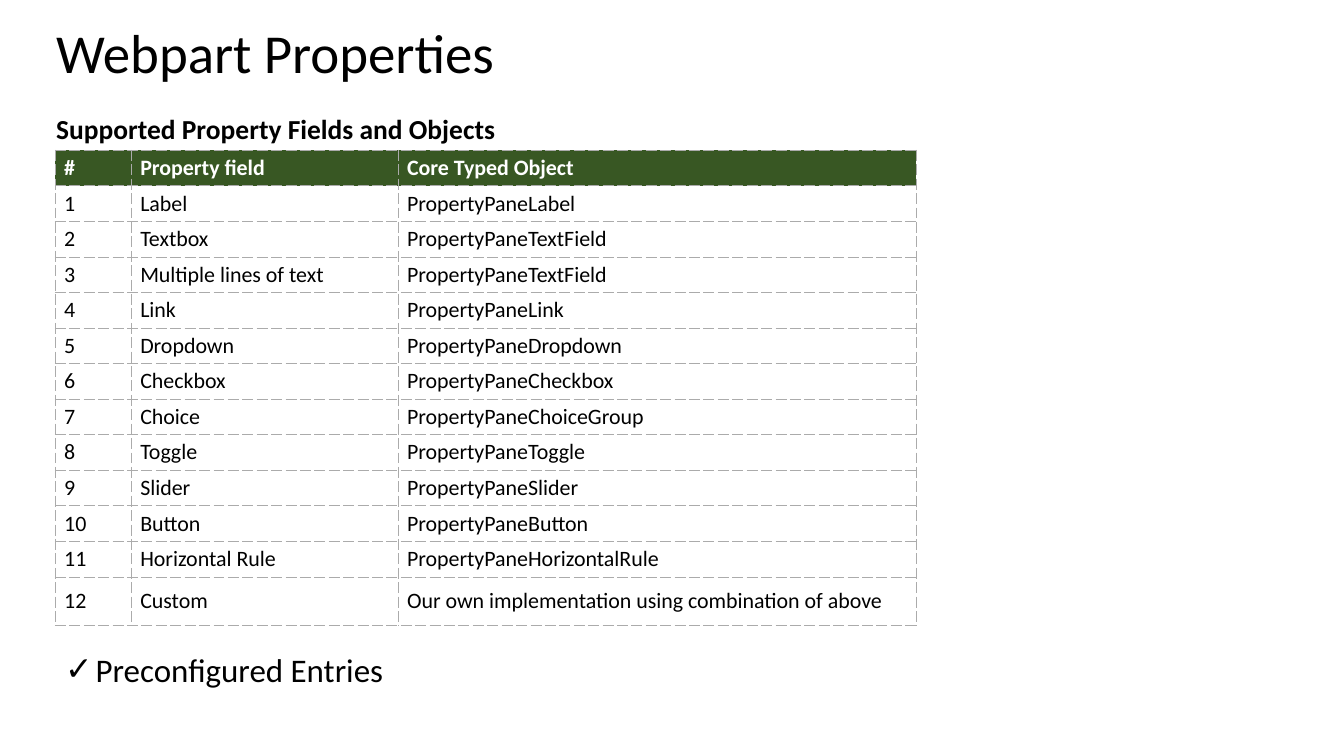
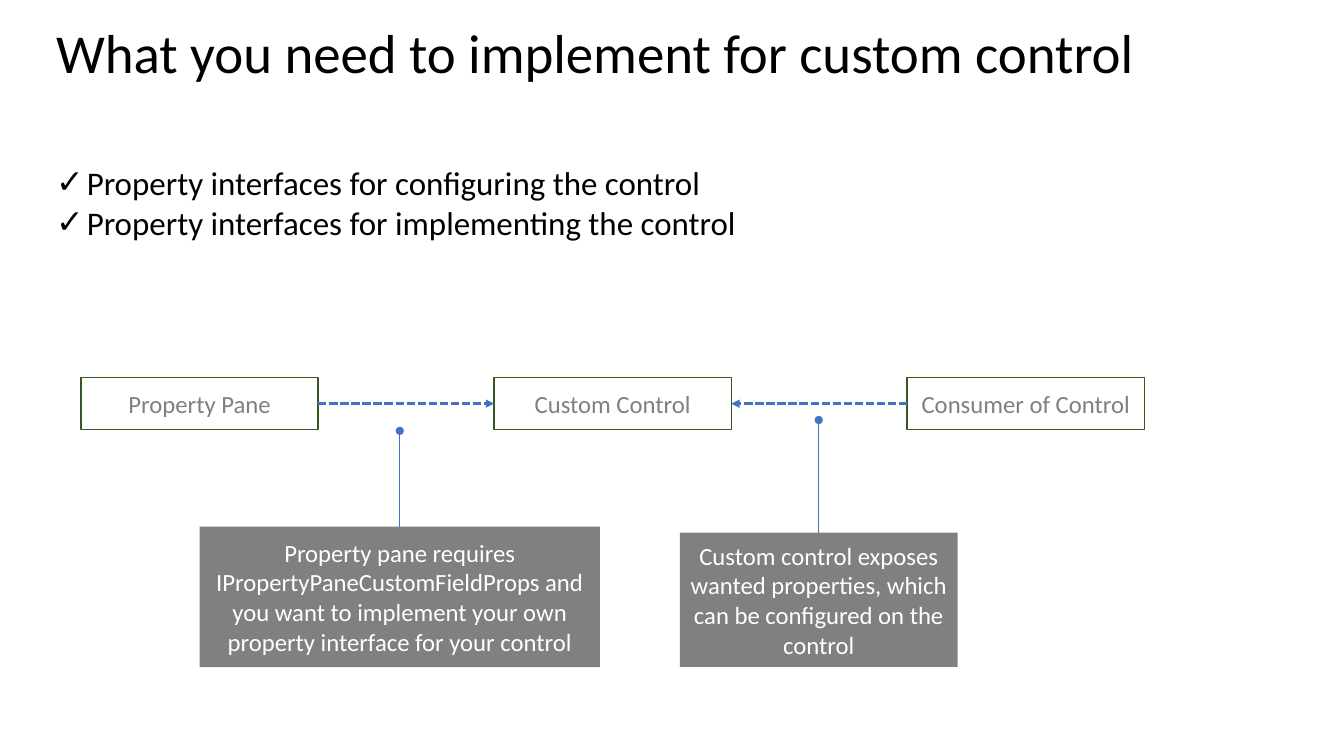
from dataclasses import dataclass

from lxml import etree
from pptx import Presentation
from pptx.dml.color import RGBColor
from pptx.enum.dml import MSO_LINE
from pptx.enum.shapes import MSO_CONNECTOR, MSO_SHAPE
from pptx.enum.text import MSO_ANCHOR, PP_ALIGN
from pptx.oxml.ns import qn
from pptx.util import Pt

LEFT, CENTER, JUSTIFY = PP_ALIGN.LEFT, PP_ALIGN.CENTER, PP_ALIGN.JUSTIFY
MIDDLE, SYS_DASH = MSO_ANCHOR.MIDDLE, MSO_LINE.SQUARE_DOT
RECTANGLE, STRAIGHT = MSO_SHAPE.RECTANGLE, MSO_CONNECTOR.STRAIGHT
TOP_SIDE, LEFT_SIDE, RIGHT_SIDE = 0, 1, 3
EMU_PER_PX = 9144  # 100 px to the inch


@dataclass(frozen=True)
class Theme:
    font: str = "Calibri"
    ink: str = "000000"
    paper: str = "FFFFFF"
    green: str = "385723"
    gray: str = "808080"
    grid: str = "ABABAB"
    blue: str = "4472C4"
    title: int = 40
    bullet: int = 24
    heading: int = 20
    label: int = 18
    cell: int = 16


THEME = Theme()

# Content
SLIDE_SIZE = (1360, 765)
TITLE_BOX = (47, 21, 1266, 61)

FIELDS_TITLE = "Webpart Properties"
FIELDS_HEADING = "Supported Property Fields and Objects"
FIELDS_HEADER = ("#", "Property field", "Core Typed Object")
FIELDS = [
    ("Label", "PropertyPaneLabel"),
    ("Textbox", "PropertyPaneTextField"),
    ("Multiple lines of text", "PropertyPaneTextField"),
    ("Link", "PropertyPaneLink"),
    ("Dropdown", "PropertyPaneDropdown"),
    ("Checkbox", "PropertyPaneCheckbox"),
    ("Choice", "PropertyPaneChoiceGroup"),
    ("Toggle", "PropertyPaneToggle"),
    ("Slider", "PropertyPaneSlider"),
    ("Button", "PropertyPaneButton"),
    ("Horizontal Rule", "PropertyPaneHorizontalRule"),
    ("Custom", "Our own implementation using combination of above"),
]
FIELD_WIDTHS = (77, 270, 524)
ROW_HEIGHT, LAST_ROW_HEIGHT = 36, 49
FIELDS_NOTE = ["Preconfigured Entries"]

CONTROL_TITLE = "What you need to implement for custom control"
CONTROL_POINTS = [
    "Property interfaces for configuring the control",
    "Property interfaces for implementing the control",
]
PARTS = ["Property Pane", "Custom Control", "Consumer of Control"]
PART_LEFT, PART_TOP, PART_WIDTH, PART_HEIGHT, PART_PITCH = 82, 382, 240, 53, 418
# text, box, top of its pin
CALLOUTS = [
    ("Property pane requires IPropertyPaneCustomFieldProps and you want to "
     "implement your own property interface for your control",
     (202, 533, 405, 142), 436),
    ("Custom control exposes wanted properties, which can be configured on "
     "the control", (688, 539, 281, 136), 425),
]


def px(value):
    return round(value * EMU_PER_PX)


def rgb(color):
    return RGBColor.from_string(color)


def style(paragraph, size, color=THEME.ink, bold=False, align=LEFT):
    paragraph.alignment = align
    font = paragraph.font
    font.name, font.size, font.bold = THEME.font, Pt(size), bold
    font.color.rgb = rgb(color)


def add_text(slide, box, lines, size, bold=False, align=LEFT, check=False,
             spacing=None):
    frame = slide.shapes.add_textbox(*map(px, box)).text_frame
    frame.word_wrap = True
    frame.text = "\n".join(lines)
    for paragraph in frame.paragraphs:
        if spacing:
            paragraph.line_spacing = spacing
        if check:
            props = paragraph._p.get_or_add_pPr()
            props.set("marL", str(px(31)))
            props.set("indent", str(px(-31)))
            etree.SubElement(props, qn("a:buFont"), typeface=THEME.font)
            etree.SubElement(props, qn("a:buChar"), char="✓")
        style(paragraph, size, bold=bold, align=align)


def add_box(slide, box, text, color, fill=None, line=None):
    shape = slide.shapes.add_shape(RECTANGLE, *map(px, box))
    shape.shadow.inherit = False
    if fill:
        shape.fill.solid()
        shape.fill.fore_color.rgb = rgb(fill)
    else:
        shape.fill.background()
    if line:
        shape.line.color.rgb = rgb(line)
        shape.line.width = Pt(1)
    else:
        shape.line.fill.background()
    frame = shape.text_frame
    frame.word_wrap, frame.vertical_anchor = True, MIDDLE
    frame.text = text
    style(frame.paragraphs[0], THEME.label, color, align=CENTER)
    return shape


def add_link(slide, width, end, kind, start=(0, 0), dash=None):
    """Connector with one end mark; end is "headEnd" or "tailEnd"."""
    link = slide.shapes.add_connector(STRAIGHT, *start, *start)
    link.line.color.rgb = rgb(THEME.blue)
    link.line.width = Pt(width)
    if dash:
        link.line.dash_style = dash
    etree.SubElement(link.line._get_or_add_ln(), qn("a:" + end), type=kind)
    etree.SubElement(link._element.spPr, qn("a:effectLst"))
    return link


def style_cell(cell, text, color, fill, bold):
    cell.text = text
    cell.vertical_anchor = MIDDLE
    cell.margin_left = cell.margin_right = px(9)
    cell.margin_top = cell.margin_bottom = px(4)
    style(cell.text_frame.paragraphs[0], THEME.cell, color, bold)
    props = cell._tc.get_or_add_tcPr()
    for side in ("lnL", "lnR", "lnT", "lnB"):
        border = etree.SubElement(props, qn("a:" + side), w=str(Pt(0.6)))
        paint = etree.SubElement(border, qn("a:solidFill"))
        etree.SubElement(paint, qn("a:srgbClr"), val=THEME.grid)
        etree.SubElement(border, qn("a:prstDash"), val="dash")
    cell.fill.solid()
    cell.fill.fore_color.rgb = rgb(fill)


def add_fields_table(slide, left, top):
    rows = [FIELDS_HEADER]
    rows += [(str(n), *field) for n, field in enumerate(FIELDS, 1)]
    heights = [ROW_HEIGHT] * len(FIELDS) + [LAST_ROW_HEIGHT]
    box = (left, top, sum(FIELD_WIDTHS), sum(heights))
    table = slide.shapes.add_table(
        len(rows), len(FIELD_WIDTHS), *map(px, box)).table
    table.horz_banding = False
    for column, width in zip(table.columns, FIELD_WIDTHS):
        column.width = px(width)
    for r, (row, height) in enumerate(zip(rows, heights)):
        table.rows[r].height = px(height)
        color, fill = ((THEME.ink, THEME.paper) if r
                       else (THEME.paper, THEME.green))
        for c, text in enumerate(row):
            style_cell(table.cell(r, c), text, color, fill, bold=r == 0)


def add_slide(deck, title):
    slide = deck.slides.add_slide(deck.slide_layouts[6])
    add_text(slide, TITLE_BOX, [title], THEME.title, spacing=0.9)
    return slide


def build_fields(deck):
    slide = add_slide(deck, FIELDS_TITLE)
    add_fields_table(slide, 56, 152)
    add_text(slide, (47, 108, 580, 44), [FIELDS_HEADING], THEME.heading,
             bold=True)
    add_text(slide, (56, 652, 372, 50), FIELDS_NOTE, THEME.bullet, check=True)


def build_control(deck):
    slide = add_slide(deck, CONTROL_TITLE)
    add_text(slide, (47, 160, 1192, 131), CONTROL_POINTS, THEME.bullet,
             align=JUSTIFY, check=True)

    # Row of parts, both outer ones pointing at the control
    pane, control, consumer = [
        add_box(slide, (PART_LEFT + i * PART_PITCH, PART_TOP, PART_WIDTH,
                        PART_HEIGHT), name, THEME.gray, line=THEME.green)
        for i, name in enumerate(PARTS)]
    for source, out_side, in_side in ((pane, RIGHT_SIDE, LEFT_SIDE),
                                      (consumer, LEFT_SIDE, RIGHT_SIDE)):
        arrow = add_link(slide, 2, "tailEnd", "triangle", dash=SYS_DASH)
        arrow.begin_connect(source, out_side)
        arrow.end_connect(control, in_side)

    # Callouts, each pinned to the arrow above it
    for text, box, pin_top in CALLOUTS:
        callout = add_box(slide, box, text, THEME.paper, fill=THEME.gray)
        pin_start = (callout.left + callout.width // 2, px(pin_top))
        pin = add_link(slide, 0.5, "headEnd", "oval", start=pin_start)
        pin.end_connect(callout, TOP_SIDE)


def main():
    deck = Presentation()
    deck.slide_width, deck.slide_height = map(px, SLIDE_SIZE)
    build_fields(deck)
    build_control(deck)
    deck.save("out.pptx")


if __name__ == "__main__":
    main()
